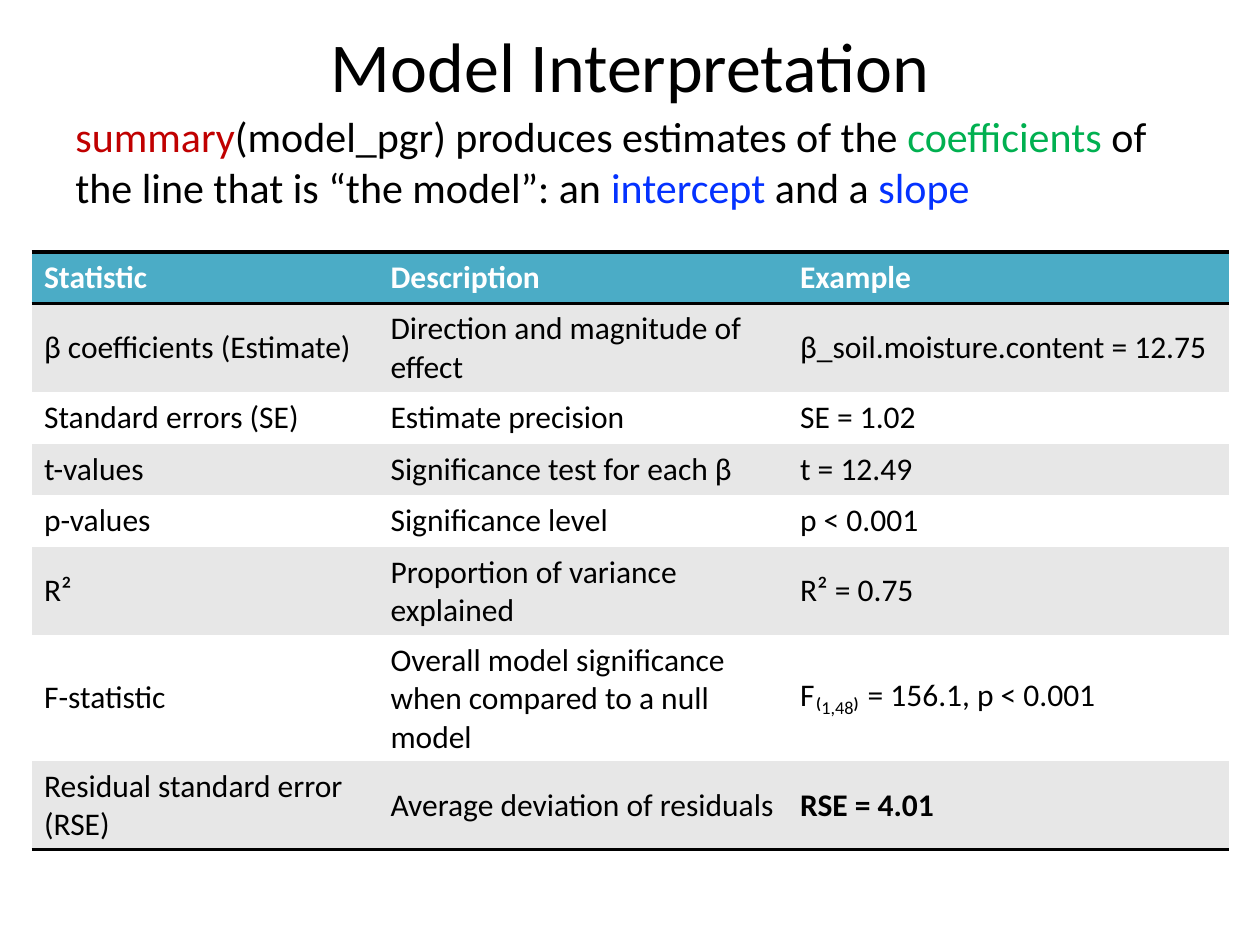
import pptx
import pptx.util
import pptx.dml.color
import pptx.enum.text
from lxml import etree
from pptx.dml.color import RGBColor
from pptx.oxml.ns import qn
from pptx.util import Inches, Pt

BLACK = RGBColor(0x00, 0x00, 0x00)
WHITE = RGBColor(0xFF, 0xFF, 0xFF)
RED = RGBColor(0xC0, 0x00, 0x00)
GREEN = RGBColor(0x00, 0xB0, 0x50)
BLUE = RGBColor(0x04, 0x32, 0xFF)
TEAL = RGBColor(0x4B, 0xAC, 0xC6)
GRAY = RGBColor(0xE7, 0xE7, 0xE7)
FONT = "Calibri"
PLAIN_TABLE_STYLE = "{2D5ABB26-0587-4C30-8999-92F81FD0307C}"
SUBSCRIPT = "-25000"

TITLE = "Model Interpretation"
INTRODUCTION = [
    ("summary", RED),
    ("(model_pgr) produces estimates of the ", BLACK),
    ("coefficients", GREEN),
    (" of the line that is “the model”: an ", BLACK),
    ("intercept", BLUE),
    (" and a ", BLACK),
    ("slope", BLUE),
]
F_STATISTIC = ("F₍", "1,48", "₎ = 156.1, p < 0.001")
RESIDUAL_ERROR = "RSE = 4.01"
ROWS = [
    ("Statistic", "Description", "Example"),
    ("β coefficients (Estimate)", "Direction and magnitude of effect",
     "β_soil.moisture.content = 12.75"),
    ("Standard errors (SE)", "Estimate precision", "SE = 1.02"),
    ("t-values", "Significance test for each β", "t = 12.49"),
    ("p-values", "Significance level", "p < 0.001"),
    ("R²", "Proportion of variance explained", "R² = 0.75"),
    ("F-statistic", "Overall model significance when compared to a null model",
     F_STATISTIC),
    ("Residual standard error (RSE)", "Average deviation of residuals", RESIDUAL_ERROR),
]
COLUMN_WIDTHS = [2.75, 3.25, 3.5]
ROW_HEIGHT = 0.41


def add_run(paragraph, text, size, color, bold=False):
    run = paragraph.add_run()
    run.text = text
    run.font.name = FONT
    run.font.size = Pt(size)
    run.font.color.rgb = color
    run.font.bold = bold
    return run


def add_text(slide, left, top, width, height, runs, size, anchor, alignment):
    box = slide.shapes.add_textbox(Inches(left), Inches(top), Inches(width), Inches(height))
    box.text_frame.word_wrap = True
    box.text_frame.vertical_anchor = anchor
    paragraph = box.text_frame.paragraphs[0]
    paragraph.alignment = alignment
    for text, color in runs:
        add_run(paragraph, text, size, color)


def add_border(cell, side):
    properties = cell._tc.get_or_add_tcPr()
    line = etree.SubElement(properties, qn(f"a:ln{side}"), w=str(Pt(2)))
    fill = etree.SubElement(line, qn("a:solidFill"))
    etree.SubElement(fill, qn("a:srgbClr"), val=str(BLACK))


def fill_cell(cell, content, row):
    header, last = row == 0, row == len(ROWS) - 1
    cell.vertical_anchor = pptx.enum.text.MSO_ANCHOR.MIDDLE
    if header:
        add_border(cell, "T")
    if header or last:
        add_border(cell, "B")
    cell.fill.solid()
    cell.fill.fore_color.rgb = TEAL if header else GRAY if row % 2 else WHITE
    pieces = (content,) if isinstance(content, str) else content
    for index, text in enumerate(pieces):
        run = add_run(cell.text_frame.paragraphs[0], text, 18, WHITE if header else BLACK,
                      header or content == RESIDUAL_ERROR)
        if index == 1:
            run.font._element.set("baseline", SUBSCRIPT)


def add_statistics_table(slide):
    frame = slide.shapes.add_table(
        len(ROWS), len(COLUMN_WIDTHS), Inches(0.25), Inches(2),
        Inches(sum(COLUMN_WIDTHS)), Inches(ROW_HEIGHT * len(ROWS)))
    table = frame.table
    table._tbl.tblPr.find(qn("a:tableStyleId")).text = PLAIN_TABLE_STYLE
    for column, width in zip(table.columns, COLUMN_WIDTHS):
        column.width = Inches(width)
    for row, contents in enumerate(ROWS):
        table.rows[row].height = Inches(ROW_HEIGHT)
        for column, content in enumerate(contents):
            fill_cell(table.cell(row, column), content, row)


def main():
    presentation = pptx.Presentation()
    presentation.slide_width = Inches(10)
    presentation.slide_height = Inches(7.5)
    slide = presentation.slides.add_slide(presentation.slide_layouts[6])
    anchors, alignments = pptx.enum.text.MSO_ANCHOR, pptx.enum.text.PP_ALIGN
    add_text(slide, 0.5, 0, 9, 1.03, [(TITLE, BLACK)], 40, anchors.MIDDLE, alignments.CENTER)
    add_text(slide, 0.5, 0.83, 9, 5.58, INTRODUCTION, 24, anchors.TOP, alignments.LEFT)
    add_statistics_table(slide)
    presentation.save("out.pptx")


if __name__ == "__main__":
    main()
